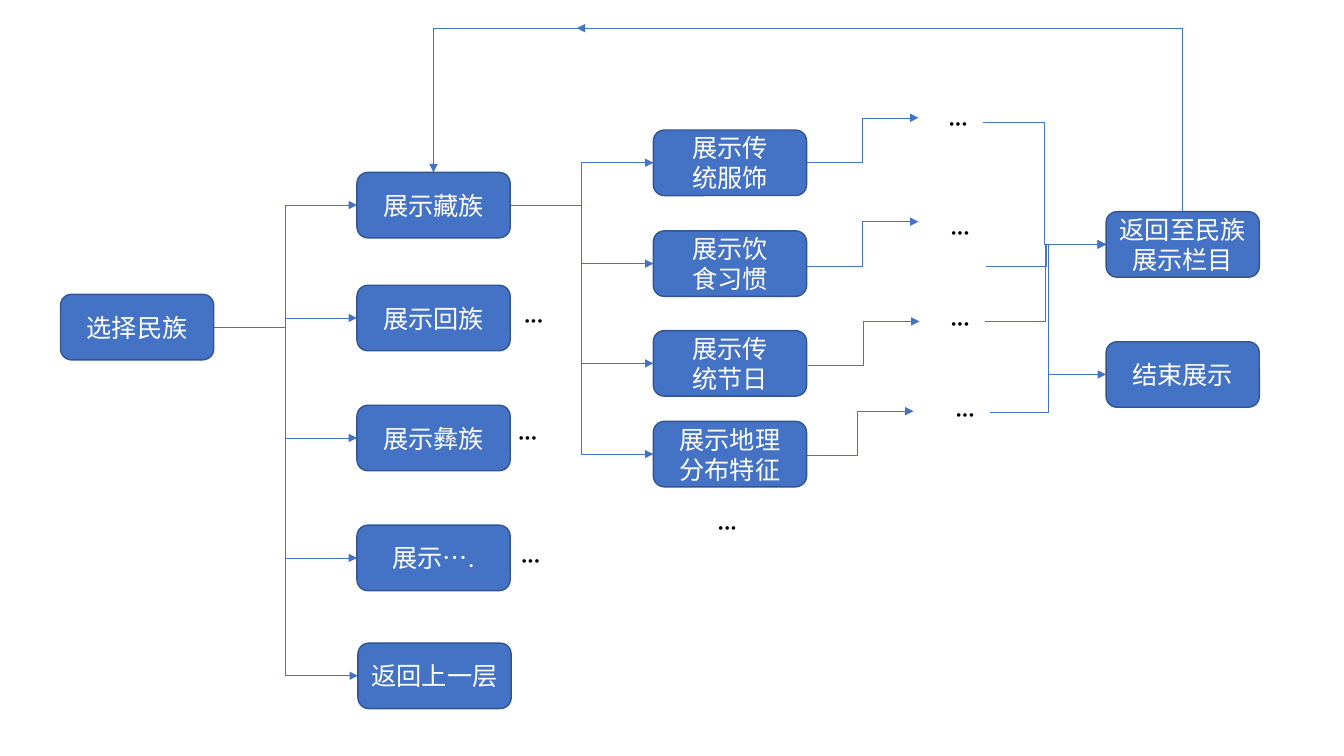
"""Flowchart of choosing an ethnic group, viewing its topics and returning."""
from dataclasses import dataclass

from lxml.etree import SubElement
from pptx import Presentation
from pptx.dml.color import RGBColor as Rgb
from pptx.enum.shapes import MSO_CONNECTOR as Link, MSO_SHAPE as Shape
from pptx.enum.text import MSO_ANCHOR as Anchor, PP_ALIGN as Align
from pptx.oxml.ns import qn
from pptx.util import Inches, Pt


@dataclass(frozen=True)
class Theme:
    box: Rgb = Rgb(0x44, 0x72, 0xC4)
    border: Rgb = Rgb(0x32, 0x54, 0x91)
    box_text: Rgb = Rgb(0xFF, 0xFF, 0xFF)
    dots: Rgb = Rgb(0, 0, 0)
    font: str = "Calibri"
    size: Pt = Pt(18)
    border_width: Pt = Pt(1)
    link_width: Pt = Pt(0.5)


THEME = Theme()
BOX_W, BOX_H = 1.52, 0.65
DOTS, DOTS_W, DOTS_H = "···", 0.44, 0.4

START = ("选择民族", 0.6, 2.92)
GROUPS = [
    ("展示藏族", 3.54, 1.71),
    ("展示回族", 3.54, 2.83),
    ("展示彝族", 3.54, 4.02),
    ("展示….", 3.54, 5.21),
    ("返回上一层", 3.55, 6.38),
]
TOPICS = [
    ("展示传\n统服饰", 6.48, 1.29),
    ("展示饮\n食习惯", 6.48, 2.29),
    ("展示传\n统节日", 6.48, 3.28),
    ("展示地理\n分布特征", 6.48, 4.18),
]
BACK = ("返回至民族展示栏目", 10.97, 2.1)
FINISH = ("结束展示", 10.97, 3.39)

MORE_DOTS = [(5.1, 2.96), (5.04, 4.12), (5.07, 5.34), (7.02, 5.01),
             (9.31, 1.01), (9.33, 2.09), (9.33, 2.99), (9.38, 3.89)]
TOPIC_EXITS = [
    ((8, 1.61), (9.11, 1.17)),
    ((8, 2.64), (9.11, 2.2)),
    ((8.01, 3.63), (9.12, 3.19)),
    ((7.95, 4.52), (9.06, 4.08)),
]
BACK_ENTRIES = [(9.75, 1.21), (9.78, 2.64), (9.77, 3.19), (9.82, 4.09)]
LOOP_Y, LOOP_ARROW_X, LOOP_JOIN_X = 0.28, 5.72, 5.77


def apply(target, formats):
    for name, value in formats.items():
        setattr(target, name, value)


def write(frame, text, color, align):
    frame.text = text
    for paragraph in frame.paragraphs:
        paragraph.alignment = align
        for run in paragraph.runs:
            apply(run.font, {"name": THEME.font, "size": THEME.size})
            run.font.color.rgb = color


def add_box(slide, step):
    text, left, top = step
    box = slide.shapes.add_shape(Shape.ROUNDED_RECTANGLE, *map(Inches, (left, top, BOX_W, BOX_H)))
    box.shadow.inherit = False
    box.fill.solid()
    box.fill.fore_color.rgb = THEME.box
    box.line.color.rgb = THEME.border
    box.line.width = THEME.border_width
    apply(box.text_frame, {"word_wrap": True, "vertical_anchor": Anchor.MIDDLE})
    write(box.text_frame, text, THEME.box_text, Align.CENTER)


def add_dots(slide, left, top):
    dots = slide.shapes.add_textbox(*map(Inches, (left, top, DOTS_W, DOTS_H)))
    dots.text_frame.word_wrap = True
    write(dots.text_frame, DOTS, THEME.dots, Align.LEFT)


def add_link(slide, begin, end, arrow="tailEnd", preset="bentConnector3"):
    link = slide.shapes.add_connector(Link.ELBOW, *map(Inches, (*begin, *end)))
    link.line.color.rgb = THEME.box
    link.line.width = THEME.link_width
    properties = link._element.spPr
    properties.find(qn("a:prstGeom")).set("prst", preset)
    SubElement(properties.find(qn("a:ln")), qn("a:" + arrow), type="triangle")
    SubElement(properties, qn("a:effectLst"))


def left_of(step):
    return step[1], step[2] + BOX_H / 2


def right_of(step):
    return step[1] + BOX_W, step[2] + BOX_H / 2


def top_of(step):
    return step[1] + BOX_W / 2, step[2]


def main():
    deck = Presentation()
    apply(deck, {"slide_width": Inches(13.33), "slide_height": Inches(7.5)})
    slide = deck.slides.add_slide(deck.slide_layouts[6])

    links = [(right_of(START), left_of(group)) for group in GROUPS]
    links += [(right_of(GROUPS[0]), left_of(topic)) for topic in TOPICS]
    links += TOPIC_EXITS
    links += [(entry, left_of(BACK)) for entry in BACK_ENTRIES]
    links.append((BACK_ENTRIES[-1], left_of(FINISH)))
    for begin, end in links:
        add_link(slide, begin, end)

    add_link(slide, (LOOP_ARROW_X, LOOP_Y), top_of(BACK), "headEnd", "bentConnector2")
    add_link(slide, (LOOP_JOIN_X, LOOP_Y), top_of(GROUPS[0]), preset="bentConnector2")

    for step in [START, *GROUPS, *TOPICS, BACK, FINISH]:
        add_box(slide, step)
    for left, top in MORE_DOTS:
        add_dots(slide, left, top)

    deck.save("out.pptx")


if __name__ == "__main__":
    main()
